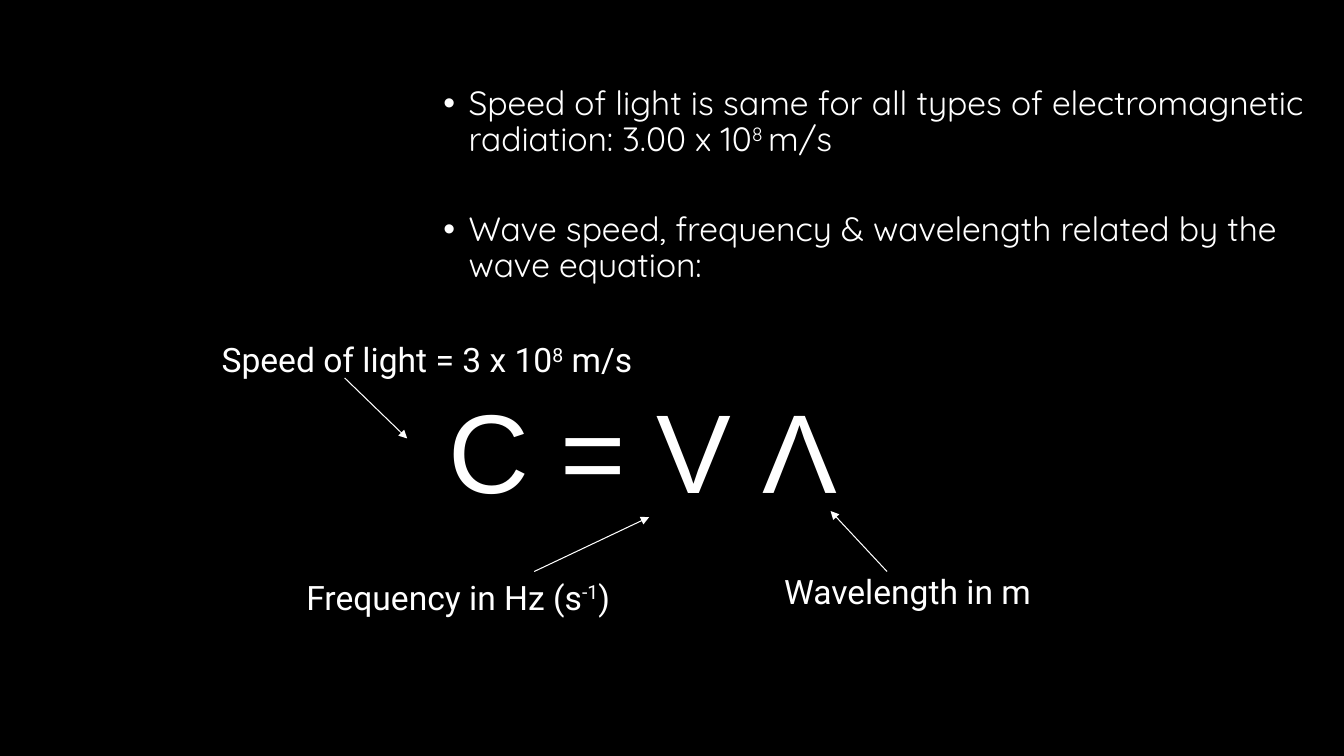
from dataclasses import dataclass

from lxml import etree
from pptx import Presentation
from pptx import util as u
from pptx.dml.color import RGBColor
from pptx.enum import shapes, text
from pptx.oxml.ns import qn


@dataclass(frozen=True)
class Theme:
    back: RGBColor = RGBColor(0, 0, 0)
    ink: RGBColor = RGBColor(255, 255, 255)
    equation_font: str = "Arial"
    bullet_font: str = "Quicksand"
    label_font: str = "Roboto"
    equation_size: int = 80
    text_size: int = 24
    line_width: float = 0.75
    line_spacing: float = 0.9
    bullet_gap: int = 38


class Board:
    COLUMNS, ROWS = 40, 30

    def __init__(self, deck, theme):
        self.theme = theme
        self.column = deck.slide_width / self.COLUMNS
        self.row = deck.slide_height / self.ROWS
        self.page = deck.slides.add_slide(deck.slide_layouts[5])
        fill = self.page.background.fill
        fill.solid()
        fill.fore_color.rgb = theme.back

    def point(self, column, row):
        return round(column * self.column), round(row * self.row)

    def style(self, target, values):
        for name, value in values.items():
            setattr(target, name, value)

    def add_spans(self, para, runs, font, size):
        for words, baseline in runs:
            span = para.add_run()
            span.text = words
            self.style(span.font, {"name": font, "size": u.Pt(size), "bold": False})
            span.font.color.rgb = self.theme.ink
            if baseline:
                span._r.get_or_add_rPr().set("baseline", str(baseline * 1000))

    def text_box(self, at, size):
        return self.page.shapes.add_textbox(*self.point(*at), *self.point(*size))

    def equation(self, at, size, words):
        box = self.page.shapes.title
        (left, top), (width, height) = self.point(*at), self.point(*size)
        self.style(box, {"left": left, "top": top, "width": width, "height": height})
        self.style(box.text_frame, {"word_wrap": True,
                                    "auto_size": text.MSO_AUTO_SIZE.NONE,
                                    "vertical_anchor": text.MSO_ANCHOR.MIDDLE})
        para = box.text_frame.paragraphs[0]
        self.style(para, {"alignment": text.PP_ALIGN.CENTER,
                          "line_spacing": self.theme.line_spacing})
        self.add_spans(para, [(words, 0)], self.theme.equation_font,
                       self.theme.equation_size)

    def bullets(self, at, size, items):
        frame = self.text_box(at, size).text_frame
        frame.word_wrap = True
        for index, runs in enumerate(items):
            para = frame.add_paragraph() if index else frame.paragraphs[0]
            self.style(para, {"line_spacing": self.theme.line_spacing,
                              "space_before": u.Pt(self.theme.bullet_gap if index else 0)})
            props = para._p.get_or_add_pPr()
            indent = u.Inches(0.25)
            props.set("marL", str(indent))
            props.set("indent", str(-indent))
            etree.SubElement(props, qn("a:buFont"), typeface="Arial")
            etree.SubElement(props, qn("a:buChar"), char="•")
            self.add_spans(para, runs, self.theme.bullet_font, self.theme.text_size)

    def label(self, at, size, runs):
        frame = self.text_box(at, size).text_frame
        self.style(frame, {"word_wrap": False,
                           "auto_size": text.MSO_AUTO_SIZE.SHAPE_TO_FIT_TEXT})
        self.add_spans(frame.paragraphs[0], runs, self.theme.label_font,
                       self.theme.text_size)

    def arrow(self, start, end):
        arrow = self.page.shapes.add_connector(
            shapes.MSO_CONNECTOR.STRAIGHT, *self.point(*start), *self.point(*end))
        arrow.line.width = u.Pt(self.theme.line_width)
        arrow.line.color.rgb = self.theme.ink
        props = arrow._element.spPr
        etree.SubElement(props.find(qn("a:ln")), qn("a:tailEnd"), type="triangle")
        etree.SubElement(props, qn("a:effectLst"))


def main():
    deck = Presentation()
    deck.slide_width, deck.slide_height = u.Inches(13.33), u.Inches(7.5)
    board = Board(deck, Theme())

    board.equation((5.64, 15.48), (27, 5.32), "C = V Λ")
    board.bullets((12.9, 3.24), (27, 10.64), [
        [("Speed of light is same for all types of electromagnetic radiation: 3.00 x 10", 0),
         ("8 ", 30), ("m/s", 0)],
        [("Wave speed, frequency & wavelength related by the wave equation:", 0)],
    ])

    labels = [
        ((6.3, 13.24), 13.17, [("Speed of light = 3 x 10", 0), ("8", 30), (" m/s", 0)],
         (10.26, 15), (12.12, 17.4)),
        ((8.82, 22.68), 9.96, [("Frequency in Hz (s", 0), ("-1", 30), (")", 0)],
         (15.9, 22.68), (19.32, 20.52)),
        ((23.04, 22.44), 8.13, [("Wavelength in m", 0)],
         (26.4, 22.68), (24.72, 20.28)),
    ]
    for at, width, runs, start, end in labels:
        board.label(at, (width, 2), runs)
        board.arrow(start, end)

    deck.save("out.pptx")


if __name__ == "__main__":
    main()
